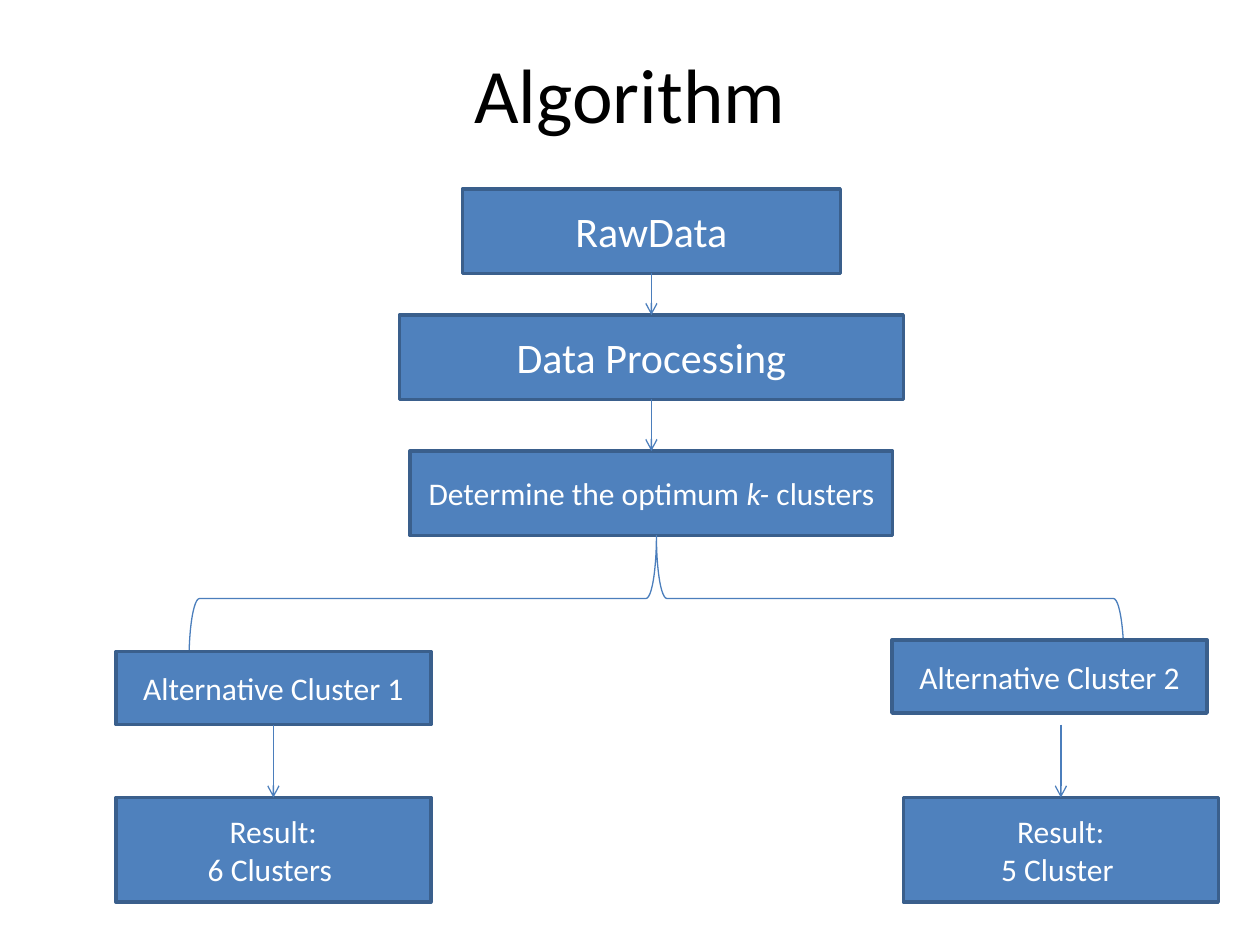
from pptx import Presentation
from pptx import util as u
from pptx.dml.color import RGBColor
from pptx.enum import shapes, text
from pptx.oxml.ns import qn
from lxml import etree

BLACK = RGBColor(0x00, 0x00, 0x00)
WHITE = RGBColor(0xFF, 0xFF, 0xFF)
BLUE = RGBColor(0x4F, 0x81, 0xBD)
EDGE = RGBColor(0x3A, 0x5F, 0x8C)
LINE = RGBColor(0x4B, 0x7E, 0xBC)
FONT = "Calibri"


def style(par, size, color):
    par.alignment = text.PP_ALIGN.CENTER
    par.font.size = u.Pt(size)
    par.font.name = FONT
    par.font.color.rgb = color


def place(item, left, top, width, height):
    item.left, item.top = u.Inches(left), u.Inches(top)
    item.width, item.height = u.Inches(width), u.Inches(height)


def title(slide, left, top, width, height):
    head = slide.shapes.title
    place(head, left, top, width, height)
    head.text_frame.text = "Algorithm"
    head.text_frame.vertical_anchor = text.MSO_ANCHOR.MIDDLE
    style(head.text_frame.paragraphs[0], 44, BLACK)


def node(slide, left, top, width, height, lines, size):
    box = slide.shapes.add_shape(
        shapes.MSO_SHAPE.RECTANGLE, u.Inches(left), u.Inches(top),
        u.Inches(width), u.Inches(height))
    box.shadow.inherit = False
    box.fill.solid()
    box.fill.fore_color.rgb = BLUE
    box.line.color.rgb = EDGE
    box.line.width = u.Pt(2)
    frame = box.text_frame
    frame.word_wrap = True
    frame.vertical_anchor = text.MSO_ANCHOR.MIDDLE
    for i, runs in enumerate(lines):
        par = frame.add_paragraph() if i else frame.paragraphs[0]
        style(par, size, WHITE)
        for words, slant in runs:
            run = par.add_run()
            run.text = words
            if slant:
                run.font.italic = True
    return box


def arrow(slide, x, top, end, start=None):
    wire = slide.shapes.add_connector(
        shapes.MSO_CONNECTOR.STRAIGHT,
        u.Inches(x), u.Inches(top), u.Inches(x), end.top)
    if start is not None:
        wire.begin_connect(start, 2)
    wire.end_connect(end, 0)
    wire.line.color.rgb = LINE
    wire.line.width = u.Pt(0.75)
    props = wire.line._get_or_add_ln()
    etree.SubElement(props, qn("a:tailEnd"), type="arrow")
    etree.SubElement(wire._element.spPr, qn("a:effectLst"))


def stem(slide, left, top, width):
    mid, high = left + width / 2, 0.67
    steps = [
        (0, 3, 24, [("RawData", False)]),
        (1, 4, 24, [("Data Processing", False)]),
        (2.08, 3.83, 18, [("Determine the optimum ", False),
                          ("k- ", True), ("clusters", False)]),
    ]
    last = None
    for drop, wide, size, runs in steps:
        box = node(slide, mid - wide / 2, top + drop, wide, high, [runs], size)
        if last is not None:
            arrow(slide, mid, top + drop, box, last)
        last = box


def fork(slide, left, top, width, height):
    brace = slide.shapes.add_shape(
        shapes.MSO_SHAPE.RIGHT_BRACE,
        u.Inches(left + (width - height) / 2),
        u.Inches(top + (height - width) / 2),
        u.Inches(height), u.Inches(width))
    brace.rotation = 270
    brace.shadow.inherit = False
    brace.fill.background()
    brace.line.color.rgb = LINE
    brace.line.width = u.Pt(0.75)


def branch(slide, left, top, name, count, shift=0, rise=0):
    wide = 2.5
    head = node(slide, left, top - rise, wide, 0.58, [[(name, False)]], 18)
    foot = node(slide, left + shift, top + 1.16, wide, 0.83,
                [[("Result:", False)], [(count, False)]], 18)
    arrow(slide, left + shift + wide / 2, top + 0.58, foot,
          None if shift else head)


def main():
    deck = Presentation()
    deck.slide_width, deck.slide_height = u.Inches(10), u.Inches(7.5)
    slide = deck.slides.add_slide(deck.slide_layouts[5])
    title(slide, 0.5, 0.3, 9, 0.87)
    stem(slide, 3.17, 1.5, 4)
    fork(slide, 1.5, 4.25, 7.42, 1)
    branch(slide, 0.92, 5.17, "Alternative Cluster 1", "6 Clusters ")
    branch(slide, 7.08, 5.17, "Alternative Cluster 2", "5 Cluster ",
           shift=0.09, rise=0.09)
    deck.save("out.pptx")


if __name__ == "__main__":
    main()
